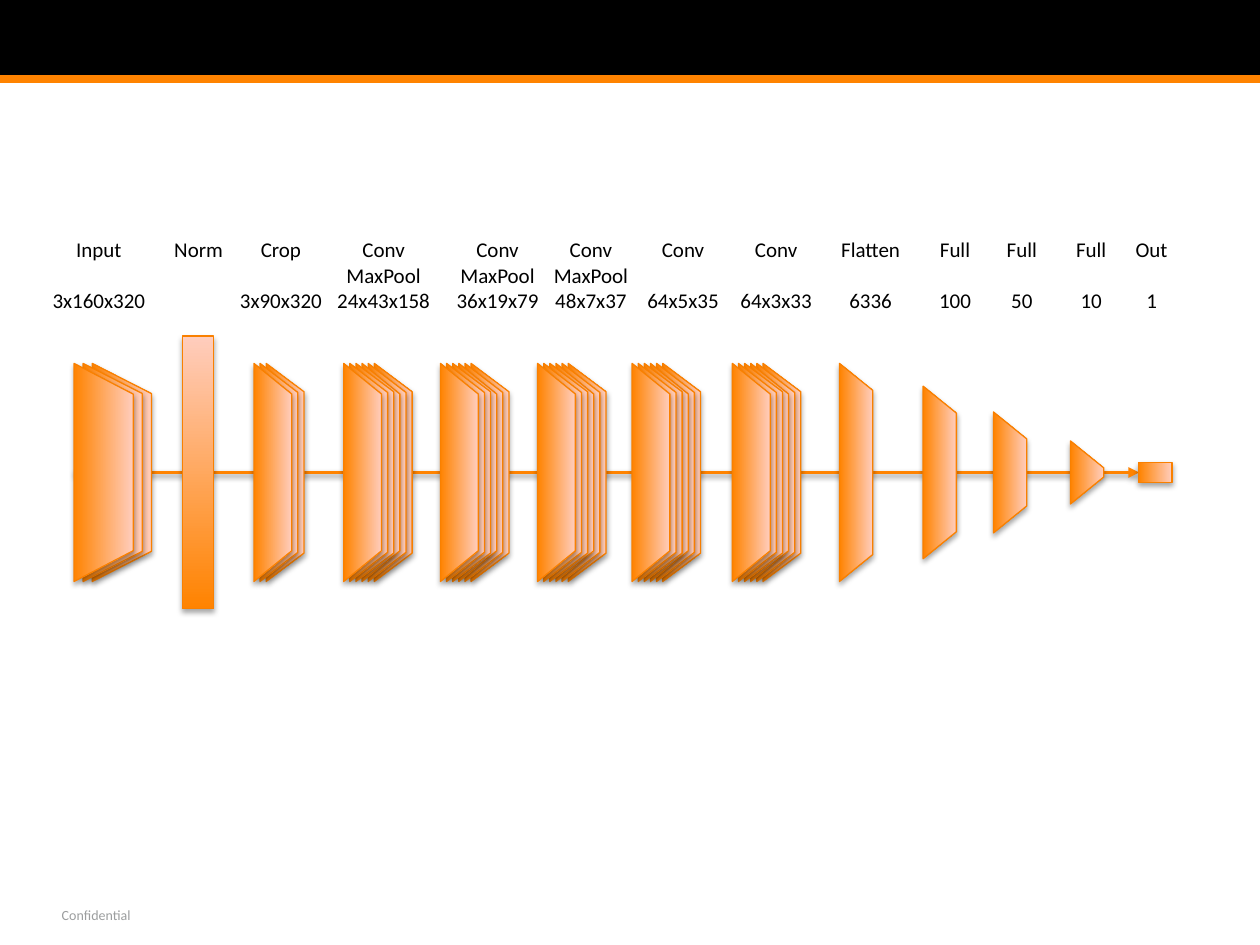
from dataclasses import dataclass

from lxml import etree
from pptx import Presentation
from pptx.dml.color import RGBColor
from pptx.enum.shapes import MSO_CONNECTOR, MSO_SHAPE
from pptx.enum.text import MSO_ANCHOR, MSO_AUTO_SIZE, PP_ALIGN
from pptx.oxml.ns import qn
from pptx.util import Pt

RECT = MSO_SHAPE.RECTANGLE
TRAPEZOID = MSO_SHAPE.TRAPEZOID
STRAIGHT = MSO_CONNECTOR.STRAIGHT
CENTER = PP_ALIGN.CENTER
MIDDLE = MSO_ANCHOR.MIDDLE
FIT_SHAPE = MSO_AUTO_SIZE.SHAPE_TO_FIT_TEXT

FONT = "Calibri"
BLACK, GREY = "000000", "9C9E9F"
ORANGE, PEACH, EDGE = "FF8300", "FFCDBD", "F98000"
AXIS_Y = 270
LABEL_TOP = 131.8
LABEL_SIZE = 12
LINE_HEIGHT = 14.65
FULL_LENGTH = 124.6
CONV_TAPERS = (0.81, 0.77, 0.75)
INPUT_TAPERS = (0.52, 0.51, 0.51)


@dataclass
class Label:
    left: float
    width: float
    lines: tuple[str, ...]
    gap: bool = False


@dataclass
class Layer:
    x: float
    length: float = FULL_LENGTH
    depth: float = 21.6
    count: int = 1
    step: float = 3.5
    tapers: tuple[float, ...] = CONV_TAPERS


LABELS = [
    Label(22.3, 68.4, ("Input", "3x160x320"), True),
    Label(92.2, 42.5, ("Norm",)),
    Label(129.6, 61.9, ("Crop", "3x90x320"), True),
    Label(185, 68.4, ("Conv", "MaxPool", "24x43x158")),
    Label(253.4, 61.9, ("Conv", "MaxPool", "36x19x79")),
    Label(308.9, 57.6, ("Conv", "MaxPool", "48x7x37")),
    Label(362.2, 56.2, ("Conv", "64x5x35"), True),
    Label(415.4, 56.2, ("Conv", "64x3x33"), True),
    Label(473, 49, ("Flatten", "6336"), True),
    Label(529.2, 33.1, ("Full", "100"), True),
    Label(568.1, 31.7, ("Full", "50"), True),
    Label(607.7, 31.7, ("Full", "10"), True),
    Label(641.5, 33.1, ("Out", "1"), True),
]

INPUT = Layer(59.2, depth=33.8, count=3, step=5.2, tapers=INPUT_TAPERS)
CONV_STACKS = [Layer(155.9, count=3)] + [
    Layer(x, count=6) for x in (207.2, 262.5, 318, 372, 429.3)
]
DENSE = [
    Layer(x, length, 19, tapers=(taper,))
    for x, length, taper in (
        (489.2, FULL_LENGTH, 0.81),
        (537, 98.6, 0.81),
        (577.2, 69.1, 0.81),
        (621.2, 36, 0.81),
        (660.2, 11.5, 0),
    )
]


def color(value: str) -> RGBColor:
    return RGBColor.from_string(value)


def add_shadow(sp, alpha: int, dist: float) -> None:
    effects = etree.SubElement(sp._element.spPr, qn("a:effectLst"))
    shadow = etree.SubElement(
        effects, qn("a:outerShdw"), blurRad=str(Pt(3.1)), dist=str(Pt(dist)),
        dir="5400000", rotWithShape="0",
    )
    clr = etree.SubElement(shadow, qn("a:srgbClr"), val=BLACK)
    etree.SubElement(clr, qn("a:alpha"), val=str(alpha * 1000))


def add_block(shapes, kind, x: float, width: float, height: float):
    sp = shapes.add_shape(
        kind, Pt(x - width / 2), Pt(AXIS_Y - height / 2), Pt(width), Pt(height)
    )
    sp.fill.gradient()
    sp.fill.gradient_angle = 90
    for stop, value in zip(sp.fill.gradient_stops, (ORANGE, PEACH)):
        stop.color.rgb = color(value)
    sp.line.color.rgb = color(EDGE)
    sp.line.width = Pt(0.75)
    add_shadow(sp, 35, 1.8)
    return sp


def add_layer(shapes, layer: Layer) -> None:
    for i in reversed(range(layer.count)):
        x = layer.x + i * layer.step
        sp = add_block(shapes, TRAPEZOID, x, layer.length, layer.depth)
        sp.rotation = 90
        sp.adjustments[0] = layer.tapers[i % len(layer.tapers)]


def add_line(shapes, x1: float, x2: float, y: float, width: float):
    line = shapes.add_connector(STRAIGHT, Pt(x1), Pt(y), Pt(x2), Pt(y))
    line.line.color.rgb = color(ORANGE)
    line.line.width = Pt(width)
    return line


def add_run(p, text: str, size: float, value: str) -> None:
    r = p.add_run()
    r.text = text
    r.font.name = FONT
    r.font.size = Pt(size)
    r.font.color.rgb = color(value)


def add_label(shapes, label: Label) -> None:
    rows = len(label.lines) + label.gap
    height = 7.2 + rows * LINE_HEIGHT
    tf = shapes.add_textbox(
        Pt(label.left), Pt(LABEL_TOP), Pt(label.width), Pt(height)
    ).text_frame
    tf.word_wrap = False
    tf.auto_size = FIT_SHAPE
    for i, text in enumerate(label.lines):
        p = tf.add_paragraph() if i else tf.paragraphs[0]
        p.alignment = CENTER
        if i and label.gap:
            p.space_before = Pt(LINE_HEIGHT)
        add_run(p, text, LABEL_SIZE, BLACK)


def add_frame(shapes) -> None:
    header = shapes.add_shape(RECT, 0, 0, Pt(720), Pt(45))
    header.shadow.inherit = False
    header.fill.solid()
    header.fill.fore_color.rgb = color(BLACK)
    header.line.fill.background()
    tf = shapes.add_textbox(Pt(35.3), Pt(514.1), Pt(40.3), Pt(17.3)).text_frame
    tf.margin_left = tf.margin_right = 0
    tf.vertical_anchor = MIDDLE
    tf.word_wrap = False
    add_run(tf.paragraphs[0], "Confidential", 8, GREY)
    rule = add_line(shapes, 0, 720, 45, 4.5)
    etree.SubElement(rule._element.spPr, qn("a:effectLst"))


def main() -> None:
    prs = Presentation()
    prs.slide_width, prs.slide_height = Pt(720), Pt(540)
    s = prs.slides.add_slide(prs.slide_layouts[6])
    add_frame(s.shapes)
    flow = add_line(s.shapes, 42.5, 650.9, AXIS_Y, 2)
    etree.SubElement(flow.line._get_or_add_ln(), qn("a:tailEnd"), type="triangle")
    add_shadow(flow, 38, 1.6)
    add_layer(s.shapes, INPUT)
    add_block(s.shapes, RECT, 113.2, 18, 155.8)
    for stack in CONV_STACKS:
        add_layer(s.shapes.add_group_shape().shapes, stack)
    for label in LABELS:
        add_label(s.shapes, label)
    for layer in DENSE:
        add_layer(s.shapes, layer)
    prs.save("out.pptx")


main()
